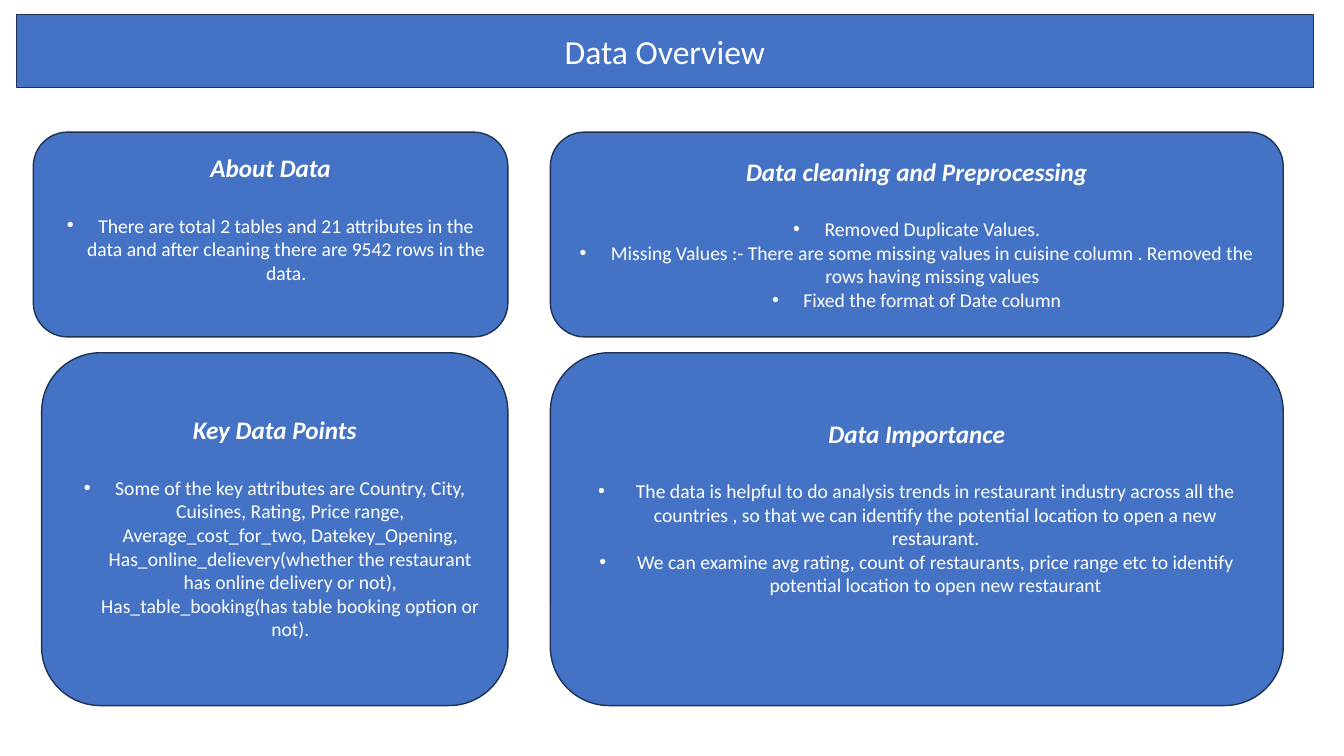
from pptx import Presentation
from pptx.dml.color import RGBColor
from pptx.enum.shapes import MSO_SHAPE as Shape
from pptx.enum.text import MSO_ANCHOR as Anchor, PP_ALIGN as Align
from pptx.oxml.ns import qn
from pptx.util import Cm, Pt
from lxml.etree import SubElement

BLUE = RGBColor(0x44, 0x72, 0xC4)
NAVY = RGBColor(0x1E, 0x32, 0x56)
WHITE = RGBColor(0xFF, 0xFF, 0xFF)
FONT = "Calibri"

# Content: heading, (column, row), left shift, space above heading, bullet indent, bullets
TITLE = "Data Overview"
CARDS = [
    ("About Data", (0, 0), 0, 0.26, 0.79, [
        "There are total 2 tables and 21 attributes in the data and after cleaning "
        "there are 9542 rows in the data."]),
    ("Data cleaning and Preprocessing", (1, 0), 0, 0.35, 0.79, [
        "Removed Duplicate Values.",
        "Missing Values :- There are some missing values in cuisine column . "
        "Removed the rows having missing values",
        "Fixed the format of Date column"]),
    ("Key Data Points", (0, 1), 0.21, 1.13, 0.79, [
        "Some of the key attributes are Country, City, Cuisines, Rating, Price range, "
        "Average_cost_for_two, Datekey_Opening, Has_online_delievery(whether the "
        "restaurant has online delivery or not), Has_table_booking(has table booking "
        "option or not)."]),
    ("Data Importance", (1, 1), 0, 1.21, 0.95, [
        "The data is helpful to do analysis trends in restaurant industry across all the "
        "countries , so that we can identify the potential location to open a new restaurant.",
        "We can examine avg rating, count of restaurants, price range etc to identify "
        "potential location to open new restaurant"]),
]

# Grid in cm: (start, length)
COLUMNS = [(0.84, 11.96), (13.87, 18.47)]
ROWS = [(3.33, 5.16), (8.89, 8.89)]


def paint(box):
    box.fill.solid()
    box.fill.fore_color.rgb = BLUE
    box.line.color.rgb = NAVY
    box.line.width = Pt(1)


def style(paragraph, size, emphasis=False):
    paragraph.alignment = Align.CENTER
    font = paragraph.font
    font.name, font.size, font.color.rgb = FONT, Pt(size), WHITE
    font.bold = font.italic = emphasis


def add_bullet(paragraph, indent):
    properties = paragraph._p.get_or_add_pPr()
    properties.set("marL", str(Cm(indent)))
    properties.set("indent", str(-Cm(indent)))
    # Bullet elements come before the default run properties
    default_run = properties.find(qn("a:defRPr"))
    SubElement(properties, qn("a:buFont")).set("typeface", "Arial")
    SubElement(properties, qn("a:buChar")).set("char", "•")
    if default_run is not None:
        properties.append(default_run)


prs = Presentation()
prs.slide_width, prs.slide_height = Cm(33.87), Cm(19.05)
slide = prs.slides.add_slide(prs.slide_layouts[5])

# Title banner
banner = slide.shapes.title
banner.left, banner.top, banner.width, banner.height = Cm(0.41), Cm(0.36), Cm(32.69), Cm(1.85)
paint(banner)
banner.text_frame.text = TITLE
banner.text_frame.vertical_anchor = Anchor.MIDDLE
style(banner.text_frame.paragraphs[0], 24)

# Cards
for heading, (column, row), shift, space_above, indent, bullets in CARDS:
    left, width = COLUMNS[column]
    top, height = ROWS[row]
    card = slide.shapes.add_shape(Shape.ROUNDED_RECTANGLE, Cm(left + shift), Cm(top),
                                  Cm(width - shift), Cm(height))
    card.shadow.inherit = False
    paint(card)

    frame = card.text_frame
    frame.word_wrap = True
    frame.vertical_anchor = Anchor.TOP
    frame.margin_top = Cm(space_above)
    frame.text = heading
    style(frame.paragraphs[0], 18, emphasis=True)
    frame.paragraphs[0].space_after = Pt(22)
    for bullet in bullets:
        item = frame.add_paragraph()
        item.text = bullet
        style(item, 14)
        add_bullet(item, indent)

prs.save("out.pptx")
